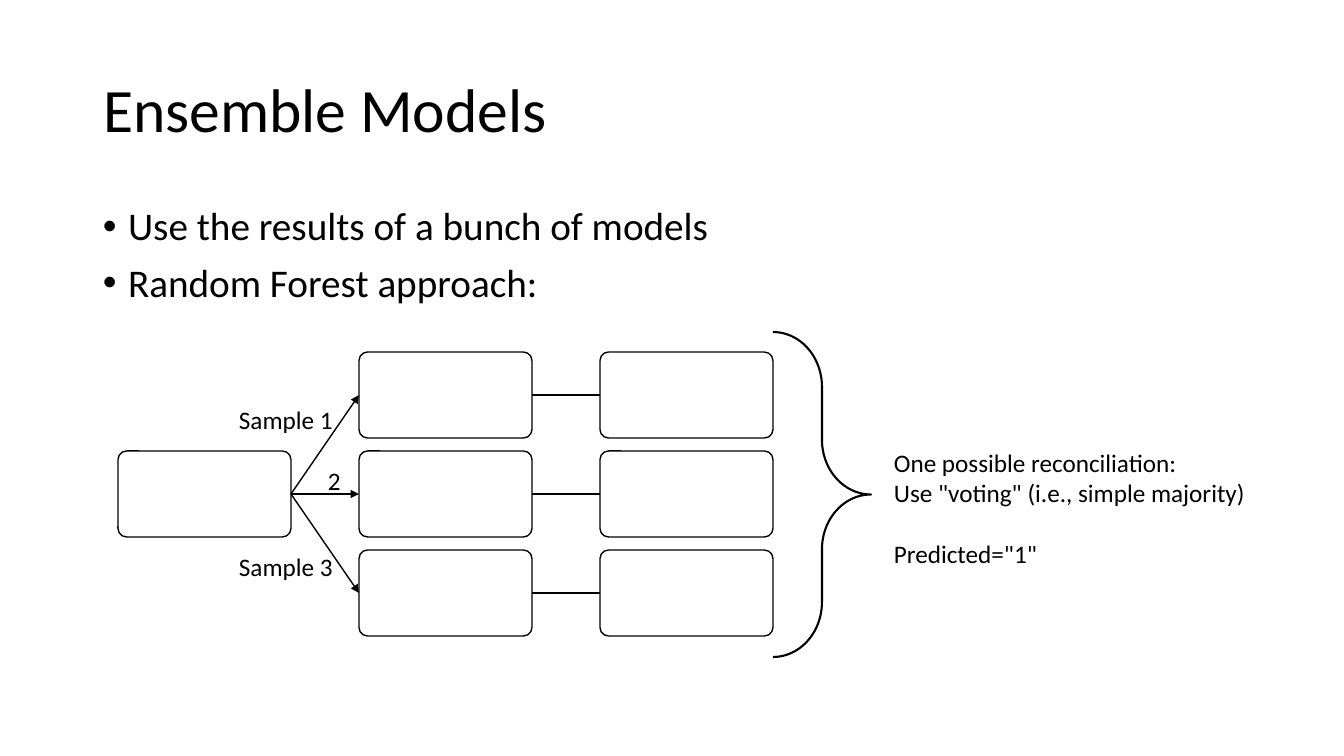
import pptx
import pptx.util
import pptx.dml.color
import pptx.enum.shapes
import pptx.enum.text
import pptx.oxml.ns
import lxml.etree

EMU_PER_PX = 914400 / 100.8
BLACK = pptx.dml.color.RGBColor(0x00, 0x00, 0x00)
WHITE = pptx.dml.color.RGBColor(0xFF, 0xFF, 0xFF)
FONT = "Calibri"

BOX_WIDTH, BOX_HEIGHT = 173, 86
COLUMN_LEFTS = [118 + 241 * column for column in range(3)]
ROW_TOPS = [352 + 99 * row for row in range(3)]
SAMPLE_LABELS = [
    ("Sample 1", 229, 399, 124),
    ("2", 318, 460, 49),
    ("Sample 3", 229, 546, 124),
]


def px(*lengths):
    """Turn pixel lengths into a list of EMU lengths."""
    return [pptx.util.Emu(round(length * EMU_PER_PX)) for length in lengths]


def apply_format(target, values):
    for name, value in values.items():
        setattr(target, name, value)


def add_child(parent, tag, **attributes):
    return lxml.etree.SubElement(parent, pptx.oxml.ns.qn(tag), **attributes)


def write_paragraph(paragraph, text, size, **paragraph_format):
    paragraph.text = text
    apply_format(paragraph, paragraph_format)
    for run in paragraph.runs:
        apply_format(run.font, {"name": FONT, "size": pptx.util.Pt(size)})
        run.font.color.rgb = BLACK


def add_title(slide, text):
    title = slide.shapes.title
    apply_format(title, dict(zip(("left", "top", "width", "height"), px(93, 40, 1159, 146))))
    apply_format(title.text_frame, {
        "auto_size": pptx.enum.text.MSO_AUTO_SIZE.NONE,
        "vertical_anchor": pptx.enum.text.MSO_ANCHOR.MIDDLE,
    })
    write_paragraph(title.text_frame.paragraphs[0], text, 44, line_spacing=0.9,
                    alignment=pptx.enum.text.PP_ALIGN.LEFT)


def add_text(slide, frame, paragraphs, size, **paragraph_format):
    """Add a wrapping text box and return its paragraphs."""
    text_frame = slide.shapes.add_textbox(*px(*frame)).text_frame
    text_frame.word_wrap = True
    for index, text in enumerate(paragraphs):
        paragraph = text_frame.add_paragraph() if index else text_frame.paragraphs[0]
        write_paragraph(paragraph, text, size, **paragraph_format)
    return text_frame.paragraphs


def add_bullets(slide, frame, items):
    paragraphs = add_text(slide, frame, items, 28, line_spacing=0.9,
                          space_before=pptx.util.Pt(10))
    indent = pptx.util.Inches(0.25)
    for paragraph in paragraphs:
        properties = paragraph._p.get_or_add_pPr()
        properties.set("marL", str(indent))
        properties.set("indent", str(-indent))
        add_child(properties, "a:buFont", typeface="Arial")
        add_child(properties, "a:buChar", char="•")


def add_outlined(slide, kind, frame, adjustments, line_width):
    shape = slide.shapes.add_shape(kind, *px(*frame))
    shape.shadow.inherit = False
    for index, value in enumerate(adjustments):
        shape.adjustments[index] = value
    shape.line.color.rgb = BLACK
    shape.line.width = pptx.util.Pt(line_width)
    return shape


def add_box(slide, column, row):
    frame = (COLUMN_LEFTS[column], ROW_TOPS[row], BOX_WIDTH, BOX_HEIGHT)
    box = add_outlined(slide, pptx.enum.shapes.MSO_SHAPE.ROUNDED_RECTANGLE, frame, [0.1], 1)
    box.fill.solid()
    box.fill.fore_color.rgb = WHITE


def add_link(slide, column, from_row, to_row, arrow=False):
    """Join a box to a box in the next column."""
    start_y, end_y = (ROW_TOPS[row] + BOX_HEIGHT // 2 for row in (from_row, to_row))
    link = slide.shapes.add_connector(
        pptx.enum.shapes.MSO_CONNECTOR.STRAIGHT,
        *px(COLUMN_LEFTS[column] + BOX_WIDTH, start_y, COLUMN_LEFTS[column + 1], end_y))
    link.line.color.rgb = BLACK
    link.line.width = pptx.util.Pt(1)
    if arrow:
        add_child(link.line._get_or_add_ln(), "a:tailEnd", type="triangle")
    add_child(link._element.spPr, "a:effectLst")


def add_forest(slide):
    """Draw the source box, then a model and a result box for each sample."""
    add_box(slide, 0, 1)
    for row in range(len(ROW_TOPS)):
        add_link(slide, 0, 1, row, arrow=True)
        add_box(slide, 1, row)
        add_link(slide, 1, row, row)
        add_box(slide, 2, row)


def main():
    presentation = pptx.Presentation()
    presentation.slide_width, presentation.slide_height = px(1344, 756)
    slide = presentation.slides.add_slide(presentation.slide_layouts[5])

    add_title(slide, "Ensemble Models")
    add_bullets(slide, (93, 202, 1159, 480),
                ["Use the results of a bunch of models", "Random Forest approach:"])
    add_forest(slide)

    reconciliation = add_text(
        slide, (884, 442, 381, 131),
        ['One possible reconciliation: \vUse "voting" (i.e., simple majority)', 'Predicted="1"'], 18)
    reconciliation[1].space_before = pptx.util.Pt(22)

    brace = add_outlined(slide, pptx.enum.shapes.MSO_SHAPE.RIGHT_BRACE,
                         (773, 332, 98, 325), [0.56, 0.5], 1.5)
    brace.fill.background()
    for text, left, top, width in SAMPLE_LABELS:
        add_text(slide, (left, top, width, 40), [text], 18)

    presentation.save("out.pptx")


if __name__ == "__main__":
    main()
